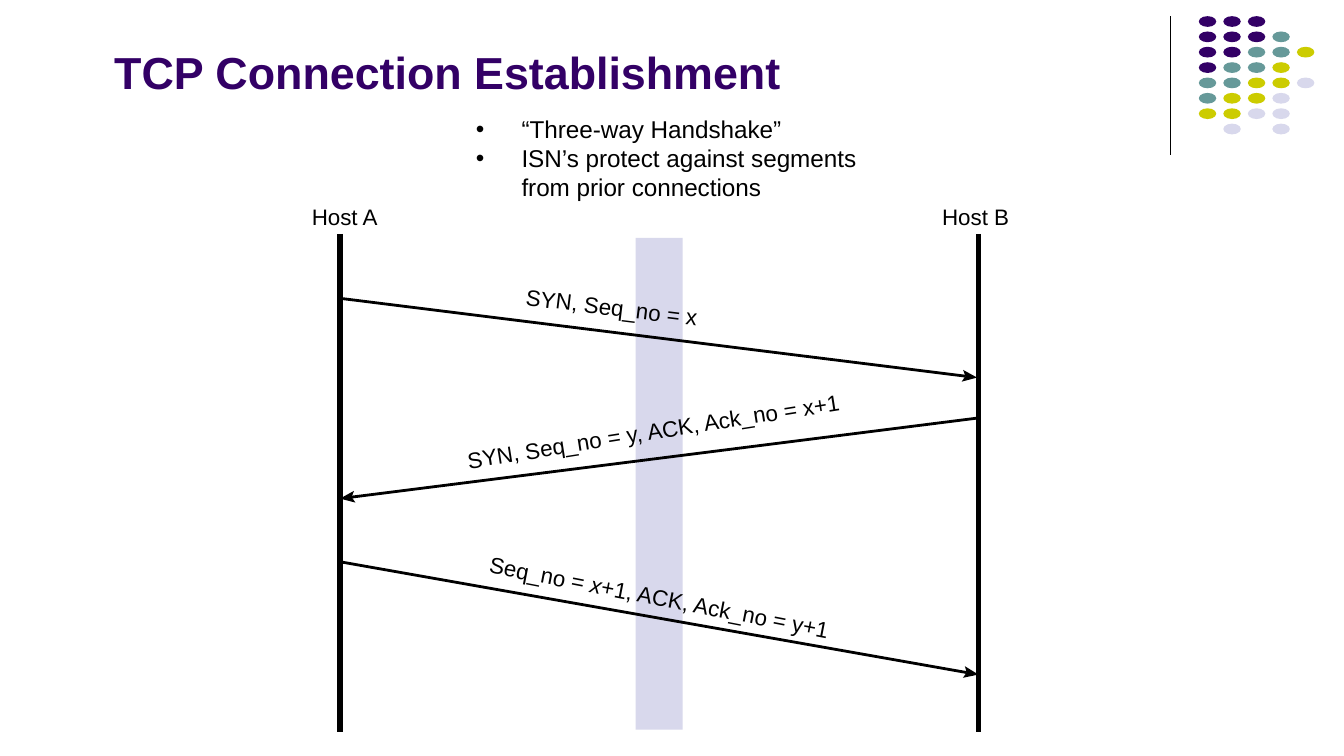
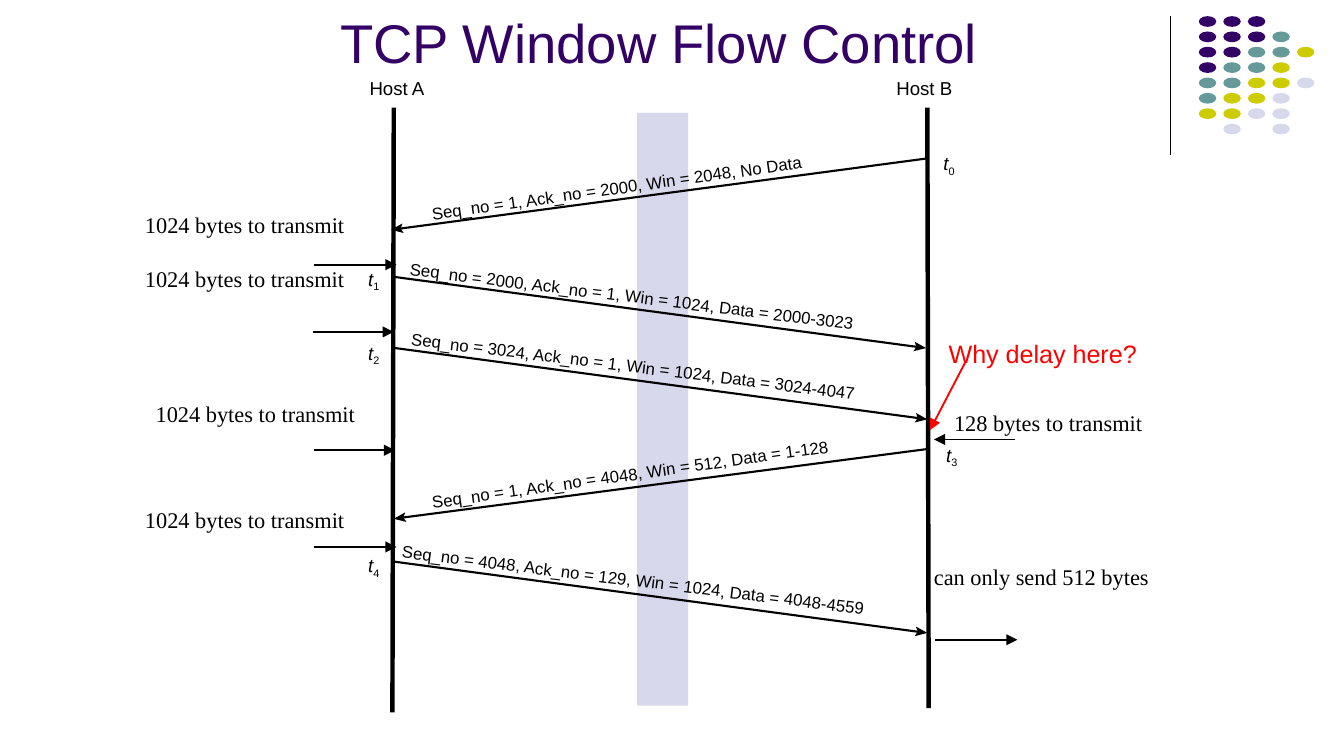
from math import hypot

from lxml.etree import SubElement
from pptx import Presentation
from pptx.dml.color import RGBColor
from pptx.enum.shapes import MSO_CONNECTOR, MSO_SHAPE
from pptx.enum.text import MSO_ANCHOR, MSO_AUTO_SIZE, PP_ALIGN
from pptx.oxml.ns import qn
from pptx.util import Inches, Pt

BLACK = RGBColor(0x00, 0x00, 0x00)
RED = RGBColor(0xFF, 0x00, 0x00)
PURPLE = RGBColor(0x33, 0x00, 0x66)
TEAL = RGBColor(0x66, 0x99, 0x99)
OLIVE = RGBColor(0xCC, 0xCC, 0x00)
LAVENDER = RGBColor(0xD8, 0xD8, 0xEC)

# Text frame formats
BARE = dict(margin_left=0, margin_top=0, margin_right=0, margin_bottom=0,
            word_wrap=False, auto_size=MSO_AUTO_SIZE.SHAPE_TO_FIT_TEXT)
PADDED = dict(margin_left=Inches(0.07), margin_top=Inches(0.04),
              margin_right=Inches(0.07), margin_bottom=Inches(0.04),
              word_wrap=True, auto_size=MSO_AUTO_SIZE.NONE)
NOTE = dict(word_wrap=True, auto_size=MSO_AUTO_SIZE.SHAPE_TO_FIT_TEXT)
LOOSE = dict(word_wrap=False, vertical_anchor=MSO_ANCHOR.TOP,
             auto_size=MSO_AUTO_SIZE.SHAPE_TO_FIT_TEXT)

# Dot colours by row and column
DOTS = ["PPP", "PPPT", "PPTTO", "PTTO", "TTOOL", "TOOL", "OOLL", " L L"]
DOT_COLORS = {"P": PURPLE, "T": TEAL, "O": OLIVE, "L": LAVENDER}


def write(sp, box, paragraphs, size, frame, color=BLACK, name="Arial", bold=False, rot=0):
    """Place a shape and fill it; a paragraph is a list of (text, style) runs."""
    sp.left, sp.top, sp.width, sp.height = [Inches(v) for v in box]
    sp.rotation = rot
    tf = sp.text_frame
    for key, value in frame.items():
        setattr(tf, key, value)
    for i, runs in enumerate(paragraphs):
        p = tf.add_paragraph() if i else tf.paragraphs[0]
        p.alignment = PP_ALIGN.LEFT
        for text, style in runs:
            r = p.add_run()
            r.text = text
            fmt = dict(size=Pt(size), name=name, bold=bold, italic=style == "italic")
            for key, value in fmt.items():
                setattr(r.font, key, value)
            r.font.color.rgb = color
            if style == "sub":
                r.font._element.set("baseline", "-25000")
    return tf


def add_line(s, x1, y1, x2, y2, width, head=None, barb=0, color=BLACK):
    """Draw a line; head is a line-end type, barb the length of a drawn arrowhead."""
    dx, dy = x2 - x1, y2 - y1
    ux, uy = dx / hypot(dx, dy), dy / hypot(dx, dy)
    notch = (x2 - 0.8 * barb * ux, y2 - 0.8 * barb * uy)
    c = s.shapes.add_connector(MSO_CONNECTOR.STRAIGHT, Inches(x1), Inches(y1),
                               *[Inches(v) for v in notch])
    c.line.color.rgb = color
    c.line.width = Pt(width)
    if head:
        SubElement(c.line._get_or_add_ln(), qn("a:tailEnd"), type=head)
    SubElement(c._element.spPr, qn("a:effectLst"))
    if barb:
        wings = [(x2 - barb * (ux + side * uy), y2 - barb * (uy - side * ux))
                 for side in (0.4, -0.4)]
        points = [(Inches(x), Inches(y)) for x, y in (wings[0], notch, wings[1], (x2, y2))]
        builder = s.shapes.build_freeform(*points[0])
        builder.add_line_segments(points[1:], close=True)
        sp = builder.convert_to_shape()
        sp.shadow.inherit = False
        sp.fill.solid()
        sp.fill.fore_color.rgb = color
        sp.line.fill.background()


prs = Presentation()
prs.slide_width, prs.slide_height = Inches(10), Inches(10) * 9 // 16
s1 = prs.slides.add_slide(prs.slide_layouts[1])
s2 = prs.slides.add_slide(prs.slide_layouts[5])

# Titles
write(s1.shapes.title, (0.78, 0.13, 7.38, 0.8), [[("TCP Connection Establishment", "")]], 24,
      dict(PADDED, vertical_anchor=MSO_ANCHOR.MIDDLE), PURPLE, bold=True)
write(s2.shapes.title, (2.43, 0.02, 5, 0.59), [[("TCP Window Flow Control", "")]], 29.2,
      LOOSE, PURPLE)

# Shared corner rule and dots, channel band
for s, band in ((s1, (4.73, 1.77, 0.35, 3.66)), (s2, (4.74, 0.84, 0.38, 4.41))):
    add_line(s, 8.71, 0.12, 8.71, 1.15, 0.75)
    marks = [(MSO_SHAPE.RECTANGLE, band, LAVENDER)]
    for row, codes in enumerate(DOTS):
        for col, code in enumerate(codes):
            if code != " ":
                box = (8.92 + 0.73 * col / 4, 0.12 + 0.8 * row / 7, 0.13, 0.08)
                marks.append((MSO_SHAPE.OVAL, box, DOT_COLORS[code]))
    for shape, box, color in marks:
        sp = s.shapes.add_shape(shape, *[Inches(v) for v in box])
        sp.shadow.inherit = False
        sp.fill.solid()
        sp.fill.fore_color.rgb = color
        sp.line.fill.background()

# Slide 1: bullets
tf = write(s1.placeholders[1], (3.47, 0.81, 3.07, 0.76),
           [[("“Three-way Handshake”", "")],
            [("ISN’s protect against segments from prior connections", "")]], 13, PADDED)
for p in tf.paragraphs:
    pPr = p._p.get_or_add_pPr()
    pPr.set("marL", str(Inches(0.34)))
    pPr.set("indent", str(-Inches(0.34)))
    SubElement(pPr, qn("a:buFont"), typeface="Arial")
    SubElement(pPr, qn("a:buChar"), char="•")
    p.space_before = Pt(0)

# Host time lines
for s, width, x1, y1, x2, y2 in (
        (s1, 2.88, 2.53, 1.74, 2.53, 5.45), (s1, 2.88, 7.28, 1.74, 7.28, 5.45),
        (s2, 2.38, 2.93, 0.8, 2.92, 5.3), (s2, 2.38, 6.9, 0.8, 6.91, 5.27)):
    add_line(s, x1, y1, x2, y2, width)

# Host names
for s, size, x, y, w, h, host in (
        (s1, 12, 2.32, 1.51, 0.53, 0.21, "Host A"), (s1, 12, 7.01, 1.51, 0.54, 0.21, "Host B"),
        (s2, 10, 2.75, 0.57, 0.44, 0.18, "Host A"), (s2, 10, 6.67, 0.57, 0.44, 0.18, "Host B")):
    write(s.shapes.add_textbox(0, 0, 0, 0), (x, y, w, h), [[(host, "")]], size, BARE)

# Slide 1: handshake segments (arrow, label box, rotation, label)
for arrow, box, rot, runs in (
        ((2.53, 2.22, 7.27, 2.81), (3.91, 2.19, 1.38, 0.21), 7, [("SYN, Seq_no = x", "")]),
        ((7.28, 3.11, 2.53, 3.71), (3.46, 3.09, 3.01, 0.21), 351,
         [("SYN, Seq_no = y, ACK, Ack_no = x+1", "")]),
        ((2.53, 4.18, 7.28, 5.02), (3.62, 4.36, 2.76, 0.21), 11,
         [("Seq_no = ", ""), ("x", "italic"), ("+1, ACK, Ack_no = y+1", "")])):
    add_line(s1, *arrow, 1.5, barb=0.11)
    write(s1.shapes.add_textbox(0, 0, 0, 0), box, [runs], 12, BARE, rot=rot)

# Slide 2: window segments
for arrow, (x, y, w), rot, label in (
        ((6.89, 1.18, 2.91, 1.71), (3.2, 1.32, 2.81), 352,
         "Seq_no = 1, Ack_no = 2000, Win = 2048, No Data"),
        ((2.93, 2.06, 6.89, 2.59), (3.04, 2.13, 3.36), 7,
         "Seq_no = 2000, Ack_no = 1, Win = 1024, Data = 2000-3023"),
        ((2.94, 2.59, 6.9, 3.12), (3.05, 2.65, 3.36), 7,
         "Seq_no = 3024, Ack_no = 1, Win = 1024, Data = 3024-4047"),
        ((6.91, 3.34, 2.93, 3.86), (3.2, 3.45, 3.01), 352,
         "Seq_no = 1, Ack_no = 4048, Win = 512, Data = 1-128"),
        ((2.94, 4.18, 6.9, 4.71), (2.98, 4.24, 3.5), 7,
         "Seq_no = 4048, Ack_no = 129, Win = 1024, Data = 4048-4559")):
    add_line(s2, *arrow, 1.13, barb=0.09)
    write(s2.shapes.add_textbox(0, 0, 0, 0), (x, y, w, 0.15), [[(label, "")]], 9, BARE, rot=rot)

# Slide 2: time marks t0 to t4
for i, (x, y) in enumerate(((7.02, 1.13), (2.74, 1.99), (2.74, 2.54), (7.04, 3.3), (2.74, 4.12))):
    write(s2.shapes.add_textbox(0, 0, 0, 0), (x, y, 0.1, 0.18),
          [[("t", "italic"), (str(i), "sub")]], 10, BARE)

# Slide 2: application data (arrow start, end, height; note box; spacing; note)
for x1, x2, y, box, spacing, note in (
        (2.34, 2.95, 1.97, (0.98, 1.66, 1.79, 0.14), 0.2, "1024 bytes to transmit"),
        (2.33, 2.93, 2.47, (0.98, 2.06, 2.06, 0.18), 0.2, "1024 bytes to transmit"),
        (2.34, 2.94, 3.35, (1.06, 3.06, 1.7, 0.18), 0.2, "1024 bytes to transmit"),
        (7.55, 6.95, 3.27, (7, 3.13, 2.05, 0.14), 0.2, "128 bytes to transmit"),
        (2.34, 2.95, 4.07, (0.98, 3.85, 1.79, 0.14), 0.2, "1024 bytes to transmit"),
        (6.96, 7.57, 4.76, (6.85, 4.24, 2.31, 0.18), 0.4, "can only send 512 bytes")):
    add_line(s2, x1, y, x2, y, 1, "triangle")
    tf = write(s2.shapes.add_textbox(0, 0, 0, 0), box, [[(note, "")]], 12, NOTE,
               name="Times New Roman")
    tf.paragraphs[0].line_spacing = spacing

# Slide 2: question
add_line(s2, 7.18, 2.7, 6.92, 3.2, 1, "triangle", color=RED)
write(s2.shapes.add_textbox(0, 0, 0, 0), (6.96, 2.47, 1.62, 0.33),
      [[("Why delay here?", "")]], 13.5, LOOSE, RED)

prs.save("out.pptx")
